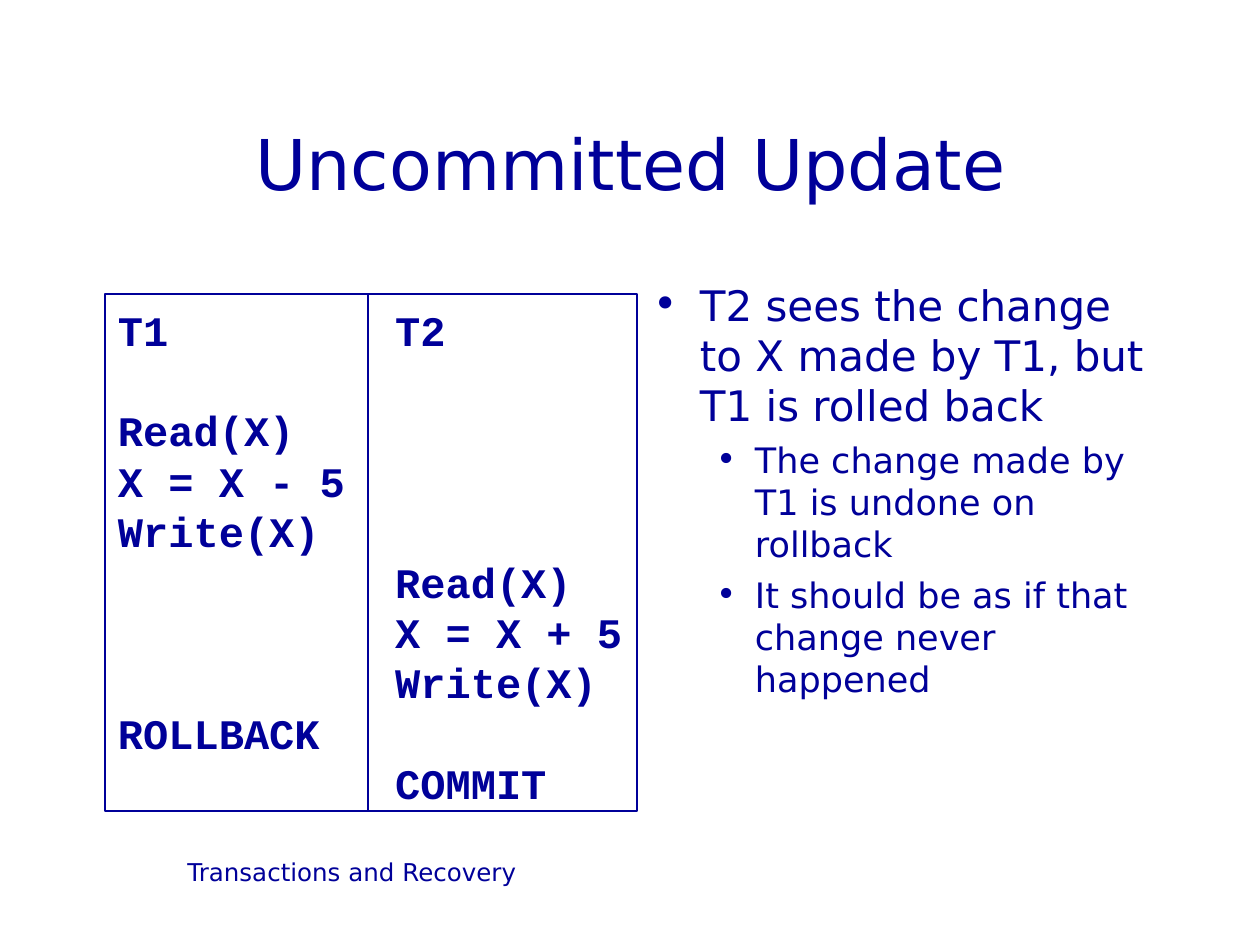
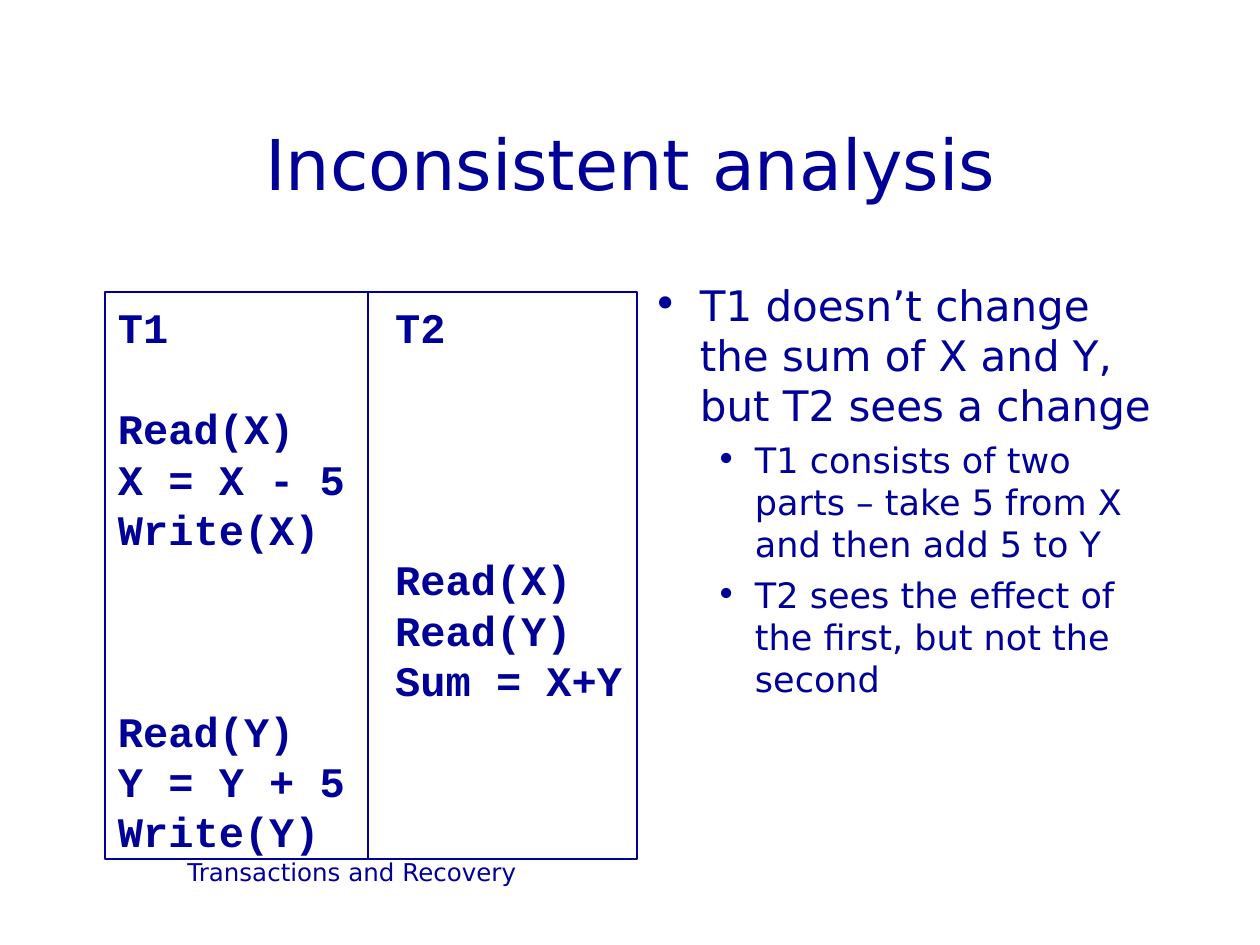
import pptx
import pptx.dml.color
import pptx.enum.shapes
import pptx.enum.text
import pptx.oxml.ns
import pptx.util
from lxml import etree

SLIDES = [
    {
        "title": "Uncommitted Update",
        "top": 294,
        "schedule": [
            "T1\t\t T2",
            "Read(X)",
            "X = X - 5",
            "Write(X)",
            "\t\t Read(X)",
            "\t\t X = X + 5",
            "\t\t Write(X)",
            "ROLLBACK",
            "\t\t COMMIT",
        ],
        "points": [
            (0, "T2 sees the change to X made by T1, but T1 is rolled back"),
            (1, "The change made by T1 is undone on rollback"),
            (1, "It should be as if that change never happened"),
        ],
    },
    {
        "title": "Inconsistent analysis",
        "top": 292,
        "schedule": [
            "T1\t\t T2",
            "Read(X)",
            "X = X - 5",
            "Write(X)",
            "\t\t Read(X)",
            "\t\t Read(Y)",
            "\t\t Sum = X+Y",
            "Read(Y)",
            "Y = Y + 5",
            "Write(Y)",
        ],
        "points": [
            (0, "T1 doesn’t change the sum of X and Y, but T2 sees a change"),
            (1, "T1 consists of two parts – take 5 from X and then add 5 to Y"),
            (1, "T2 sees the effect of the first, but not the second"),
        ],
    },
]
FOOTER = "Transactions and Recovery"

COLORS = {"ink": "000099", "paper": "FFFFFF"}
SANS, MONO = "DejaVu Sans", "Courier New"
PX = 914400 // 126
TITLE_BOX = (95, 84, 1071, 158)
POINTS_BOX = (640, 273, 525, 567)
FOOTER_BOX = (95, 851, 514, 63)
SCHEDULE_LEFT, SCHEDULE_WIDTH, DIVIDER_X = 105, 532, 368
TAB = 126
CODE_SIZE = 24
LEADING = 1.2
LEVELS = [
    {"size": 24, "before": 6, "left": 47, "hang": 47},
    {"size": 20, "before": 5, "left": 102, "hang": 39},
]
ALIGN = pptx.enum.text.PP_ALIGN


def px(*lengths):
    return [pptx.util.Emu(length * PX) for length in lengths]


def color(name):
    return pptx.dml.color.RGBColor.from_string(COLORS[name])


def child(parent, tag, **attributes):
    return etree.SubElement(parent, pptx.oxml.ns.qn(tag), attributes)


def place(shape, box):
    shape.left, shape.top, shape.width, shape.height = px(*box)


def frame(shape, anchor, insets=(13, 6, 13, 6)):
    tf = shape.text_frame
    tf.word_wrap = True
    tf.auto_size = pptx.enum.text.MSO_AUTO_SIZE.NONE
    tf.vertical_anchor = anchor
    tf.margin_left, tf.margin_top, tf.margin_right, tf.margin_bottom = px(*insets)
    return tf


def write(p, text, size, font=SANS, align=ALIGN.LEFT, before=0, bold=False):
    p.alignment = align
    p.line_spacing = pptx.util.Pt(size * LEADING)
    p.space_before = pptx.util.Pt(before)
    r = p.add_run()
    r.text = text
    r.font.size = pptx.util.Pt(size)
    r.font.name = font
    r.font.bold = bold
    r.font.color.rgb = color("ink")


def paragraphs(tf, items):
    for i, item in enumerate(items):
        yield i, tf.paragraphs[0] if i == 0 else tf.add_paragraph(), item


def outline(shape):
    shape.line.color.rgb = color("ink")
    shape.line.width = pptx.util.Pt(1.5)


def add_title(s, text):
    place(s.shapes.title, TITLE_BOX)
    tf = frame(s.shapes.title, pptx.enum.text.MSO_ANCHOR.MIDDLE)
    write(tf.paragraphs[0], text, 40, align=ALIGN.CENTER)


def add_points(s, points):
    body = s.placeholders[1]
    place(body, POINTS_BOX)
    tf = frame(body, pptx.enum.text.MSO_ANCHOR.TOP)
    for i, p, (level, text) in paragraphs(tf, points):
        style = LEVELS[level]
        p.level = level
        pPr = p._p.get_or_add_pPr()
        pPr.set("marL", str(style["left"] * PX))
        pPr.set("indent", str(-style["hang"] * PX))
        child(child(pPr, "a:buClr"), "a:srgbClr", val=COLORS["ink"])
        child(pPr, "a:buFont", typeface=SANS)
        child(pPr, "a:buChar", char="•")
        write(p, text, style["size"], before=style["before"] if i else 0)


def add_schedule(s, top, steps):
    leading = CODE_SIZE * LEADING
    text_height = (len(steps) + 1) * leading * 126 / 72
    height = round(text_height) + 13
    box = s.shapes.add_shape(
        pptx.enum.shapes.MSO_SHAPE.RECTANGLE,
        *px(SCHEDULE_LEFT, top, SCHEDULE_WIDTH, height),
    )
    box.shadow.inherit = False
    box.fill.background()
    outline(box)
    tf = frame(box, pptx.enum.text.MSO_ANCHOR.TOP, (13, 10, 13, 2))
    for i, p, step in paragraphs(tf, steps):
        tabs = child(p._p.get_or_add_pPr(), "a:tabLst")
        for stop in (1, 2):
            child(tabs, "a:tab", pos=str(stop * TAB * PX), algn="l")
        write(p, step, CODE_SIZE, MONO, before=leading if i == 1 else 0, bold=True)

    divider = s.shapes.add_connector(
        pptx.enum.shapes.MSO_CONNECTOR.STRAIGHT,
        *px(DIVIDER_X, top, DIVIDER_X, top + height),
    )
    child(divider._element.spPr, "a:effectLst")
    outline(divider)


def add_footer(s):
    tf = frame(s.shapes.add_textbox(*px(*FOOTER_BOX)), pptx.enum.text.MSO_ANCHOR.TOP)
    write(tf.paragraphs[0], FOOTER, 14, align=ALIGN.CENTER)


def main():
    prs = pptx.Presentation()
    prs.slide_width, prs.slide_height = px(1260, 945)
    background = prs.slide_master.background.fill
    background.solid()
    background.fore_color.rgb = color("paper")
    for content in SLIDES:
        s = prs.slides.add_slide(prs.slide_layouts[1])
        add_footer(s)
        add_title(s, content["title"])
        add_points(s, content["points"])
        add_schedule(s, content["top"], content["schedule"])
    prs.save("out.pptx")


if __name__ == "__main__":
    main()
